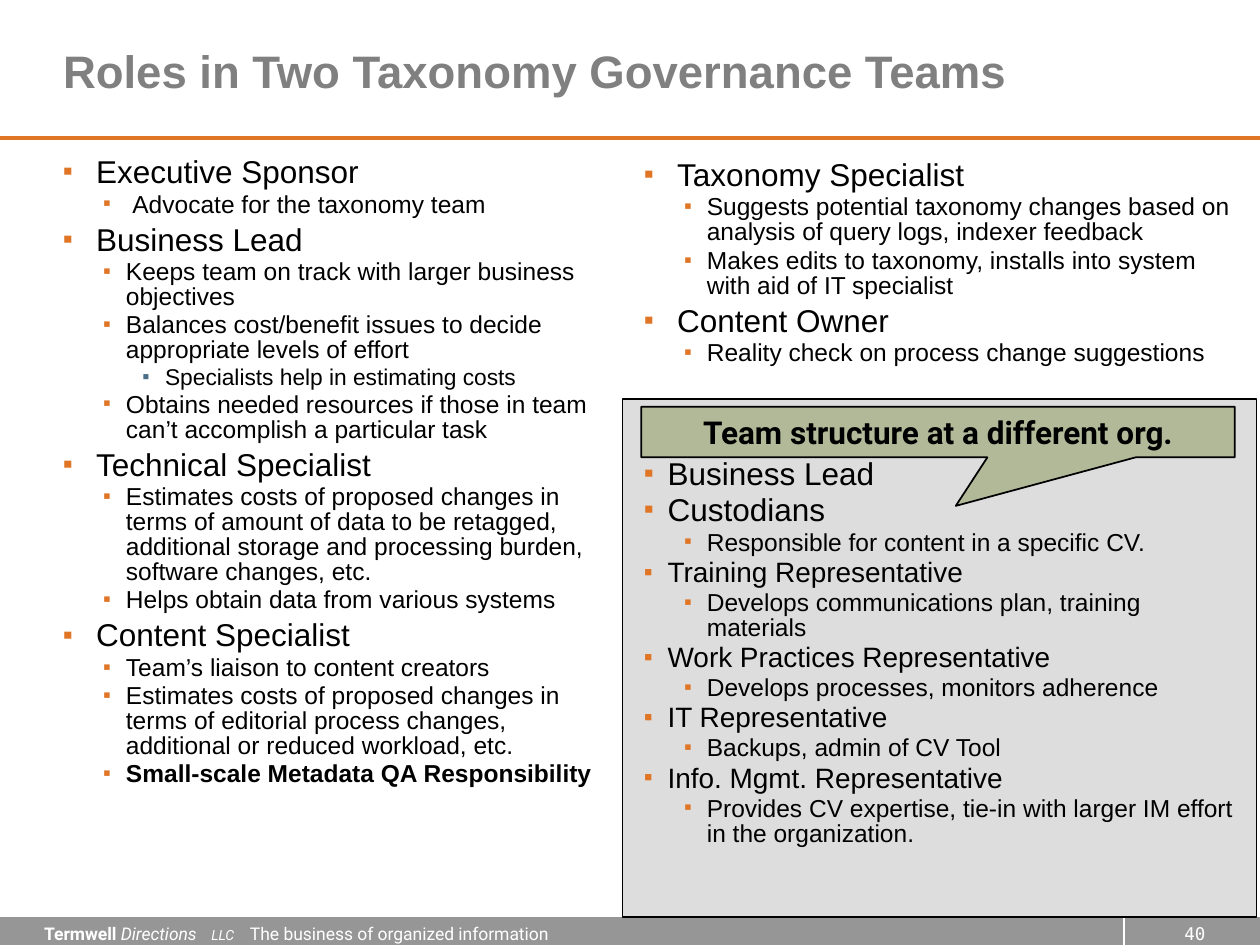
"""Build the slide on roles in two taxonomy governance teams."""
from dataclasses import dataclass

from lxml.etree import SubElement as Sub
from pptx import Presentation
from pptx.dml.color import RGBColor as Rgb
from pptx.enum.shapes import MSO_CONNECTOR as Conn, MSO_SHAPE as Shape
from pptx.enum.text import MSO_ANCHOR as Anchor, PP_ALIGN as Align
from pptx.oxml.ns import qn
from pptx.util import Cm, Pt


@dataclass(frozen=True)
class Theme:
    """Colours, fonts and type sizes of the slide."""
    white: str = "FFFFFF"
    black: str = "000000"
    orange: str = "DF7525"
    blue: str = "4A6D88"
    title: str = "808080"
    bar: str = "969696"
    panel: str = "DDDDDD"
    green: str = "B1B999"
    sans: str = "Arial"
    brand: str = "Roboto"
    mono: str = "DejaVu Sans Mono"
    head: int = 26
    large: int = 18
    mid: int = 16
    body: int = 14
    small: int = 13
    foot: int = 10
    tiny: int = 8


@dataclass(frozen=True)
class Style:
    """Depth, left margin and hang in cm, space before and size in points."""
    level: int
    left: float
    hang: float
    gap: float
    size: int
    mark: str
    bold: bool = False


T = Theme()
ROLE = Style(0, 0.67, 0.67, 4.2, T.large, T.orange)
TEAM = Style(0, 0.48, 0.48, 2.2, T.large, T.orange)
REP = Style(0, 0.48, 0.48, 2, T.mid, T.orange)
DUTY = Style(1, 1.27, 0.46, 1.8, T.body, T.orange)
FIRST = Style(1, 1.4, 0.59, 1.8, T.body, T.orange)
BOLD = Style(1, 1.27, 0.46, 1.8, T.body, T.orange, True)
NOTE = Style(2, 2.06, 0.46, 1.6, T.small, T.blue)

LEFT = [
    (ROLE, "Executive Sponsor"),
    (FIRST, "Advocate for the taxonomy team"),
    (ROLE, "Business Lead"),
    (DUTY, "Keeps team on track with larger business objectives"),
    (DUTY, "Balances cost/benefit issues to decide appropriate levels of effort"),
    (NOTE, "Specialists help in estimating costs"),
    (DUTY, "Obtains needed resources if those in team can’t accomplish a particular task"),
    (ROLE, "Technical Specialist"),
    (DUTY, "Estimates costs of proposed changes in terms of amount of data to be "
           "retagged, additional storage and processing burden, software changes, etc."),
    (DUTY, "Helps obtain data from various systems"),
    (ROLE, "Content Specialist"),
    (DUTY, "Team’s liaison to content creators"),
    (DUTY, "Estimates costs of proposed changes in terms of editorial process "
           "changes, additional or reduced workload, etc."),
    (BOLD, "Small-scale Metadata QA Responsibility"),
]
RIGHT = [
    (ROLE, "Taxonomy Specialist"),
    (DUTY, "Suggests potential taxonomy changes based on analysis of query logs, "
           "indexer feedback"),
    (DUTY, "Makes edits to taxonomy, installs into system with aid of IT specialist"),
    (ROLE, "Content Owner"),
    (DUTY, "Reality check on process change suggestions"),
]
OTHER = [
    (TEAM, "Business Lead"),
    (TEAM, "Custodians"),
    (DUTY, "Responsible for content in a specific CV."),
    (REP, "Training Representative"),
    (DUTY, "Develops communications plan, training materials"),
    (REP, "Work Practices Representative"),
    (DUTY, "Develops processes, monitors adherence"),
    (REP, "IT Representative"),
    (DUTY, "Backups, admin of CV Tool"),
    (REP, "Info. Mgmt. Representative"),
    (DUTY, "Provides CV expertise, tie-in with larger IM effort in the organization."),
]


def put(item, **vals):
    """Set each named attribute on the item."""
    for name, val in vals.items():
        setattr(item, name, val)


def area(*nums):
    """Turn centimetres into lengths."""
    return [Cm(num) for num in nums]


def write(para, text, size, color, face=T.sans, bold=False, italic=False):
    """Add a formatted run to a paragraph."""
    run = para.add_run()
    run.text = text
    put(run.font, size=Pt(size), name=face, bold=bold, italic=italic)
    run.font.color.rgb = Rgb.from_string(color)


def frame(shape, pad_x=0.25, pad_y=0.13, anchor=Anchor.TOP):
    """Set wrap, margins and anchor, and return the text frame."""
    text = shape.text_frame
    put(text, word_wrap=True, vertical_anchor=anchor,
        margin_left=Cm(pad_x), margin_right=Cm(pad_x),
        margin_top=Cm(pad_y), margin_bottom=Cm(pad_y))
    return text


def label(slide, box):
    """Add a text box and return its first paragraph."""
    return frame(slide.shapes.add_textbox(*area(*box))).paragraphs[0]


def block(slide, kind, box, fill, line=None):
    """Add a filled shape, outlined if a line colour is given."""
    shape = slide.shapes.add_shape(kind, *area(*box))
    shape.shadow.inherit = False
    shape.fill.solid()
    shape.fill.fore_color.rgb = Rgb.from_string(fill)
    if line:
        shape.line.color.rgb = Rgb.from_string(line)
        shape.line.width = Pt(1)
    else:
        shape.line.fill.background()
    return shape


def rule(slide, ends, color, width):
    """Add a plain straight line."""
    line = slide.shapes.add_connector(Conn.STRAIGHT, *area(*ends))
    line.line.color.rgb = Rgb.from_string(color)
    line.line.width = Pt(width)
    Sub(line._element.spPr, qn("a:effectLst"))


def bullet(para, style):
    """Give a paragraph its hanging square bullet."""
    props = para._p.get_or_add_pPr()
    props.set("marL", str(Cm(style.left)))
    props.set("indent", str(-Cm(style.hang)))
    Sub(Sub(props, qn("a:buClr")), qn("a:srgbClr"), val=style.mark)
    Sub(props, qn("a:buSzPct"), val="90000")
    Sub(props, qn("a:buFont"), typeface=T.sans)
    Sub(props, qn("a:buChar"), char="▪")


def column(slide, box, rows):
    """Add a text box of bulleted rows."""
    text = frame(slide.shapes.add_textbox(*area(*box)), 0, 0)
    for num, (style, words) in enumerate(rows):
        para = text.add_paragraph() if num else text.paragraphs[0]
        bullet(para, style)
        put(para, level=style.level, line_spacing=0.85,
            space_before=Pt(style.gap if num else 0))
        write(para, words, style.size, T.black, bold=style.bold)


def footer(slide):
    """Add the bottom bar with the firm name and page number."""
    block(slide, Shape.RECTANGLE, (0, 18.49, 25.4, 0.56), T.bar)
    page = label(slide, (23.44, 18.47, 1.3, 0.74))
    page.alignment = Align.CENTER
    write(page, "40", T.foot, T.white, T.mono)
    rule(slide, (22.66, 18.49, 22.66, 19.05), T.white, 0.75)
    firm = label(slide, (0.64, 18.47, 11.79, 0.69))
    tabs = Sub(firm._p.get_or_add_pPr(), qn("a:tabLst"))
    for stop in (3.37, 4.15):
        Sub(tabs, qn("a:tab"), pos=str(Cm(stop)), algn="l")
    write(firm, "Termwell ", T.foot, T.white, T.brand, bold=True)
    write(firm, "Directions", T.foot, T.white, T.brand, italic=True)
    write(firm, "\tLLC", T.tiny, T.white, T.brand, italic=True)
    write(firm, "\tThe business of organized information", T.foot, T.white, T.brand)


def heading(slide, words):
    """Place and format the title."""
    title = slide.shapes.title
    left, top, width, height = area(1.27, 0, 22.99, 2.84)
    put(title, left=left, top=top, width=width, height=height)
    para = frame(title, 0, 0, Anchor.MIDDLE).paragraphs[0]
    para.alignment = Align.LEFT
    write(para, words, T.head, T.title, bold=True)


def callout(slide, box, words):
    """Add the callout that points into the panel."""
    shape = block(slide, Shape.RECTANGULAR_CALLOUT, box, T.green, T.black)
    shape.adjustments[0], shape.adjustments[1] = 0.03, 1.46
    para = frame(shape, anchor=Anchor.MIDDLE).paragraphs[0]
    para.alignment = Align.CENTER
    write(para, words, T.large, T.black, T.brand, bold=True)


def main():
    """Build and save the slide."""
    deck = Presentation()
    put(deck, slide_width=Cm(25.4), slide_height=Cm(19.05))
    slide = deck.slides.add_slide(deck.slide_layouts[5])
    footer(slide)
    rule(slide, (0, 2.79, 25.4, 2.79), T.orange, 2.25)
    block(slide, Shape.RECTANGLE, (12.55, 8.05, 12.78, 10.44), T.panel, T.black)
    heading(slide, "Roles in Two Taxonomy Governance Teams")
    column(slide, (1.27, 3.18, 11.2, 13.87), LEFT)
    column(slide, (12.98, 3.24, 11.96, 4.5), RIGHT)
    column(slide, (12.98, 9.27, 11.96, 9), OTHER)
    callout(slide, (12.93, 8.2, 11.96, 1.02), "Team structure at a different org.")
    deck.save("out.pptx")


if __name__ == "__main__":
    main()
